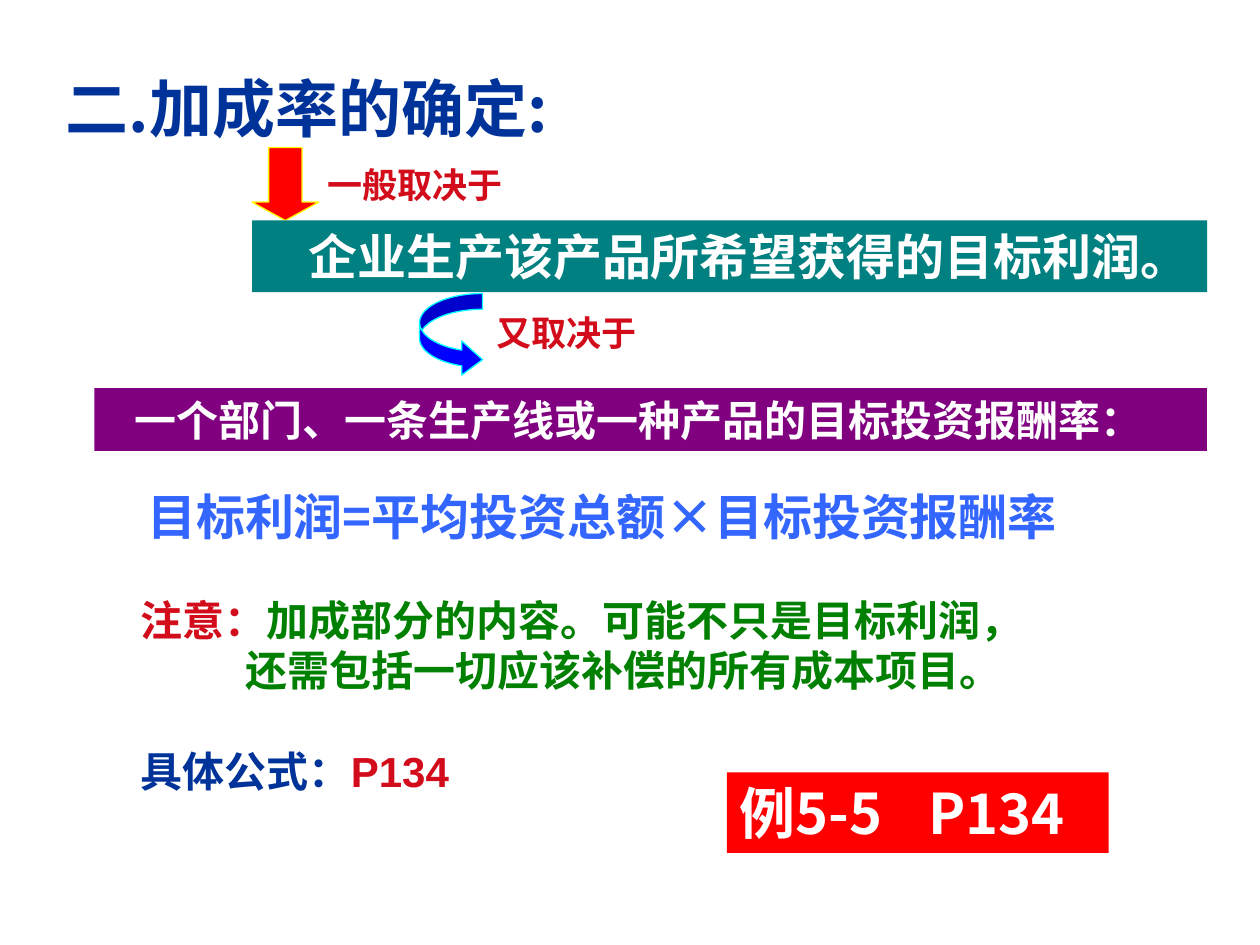
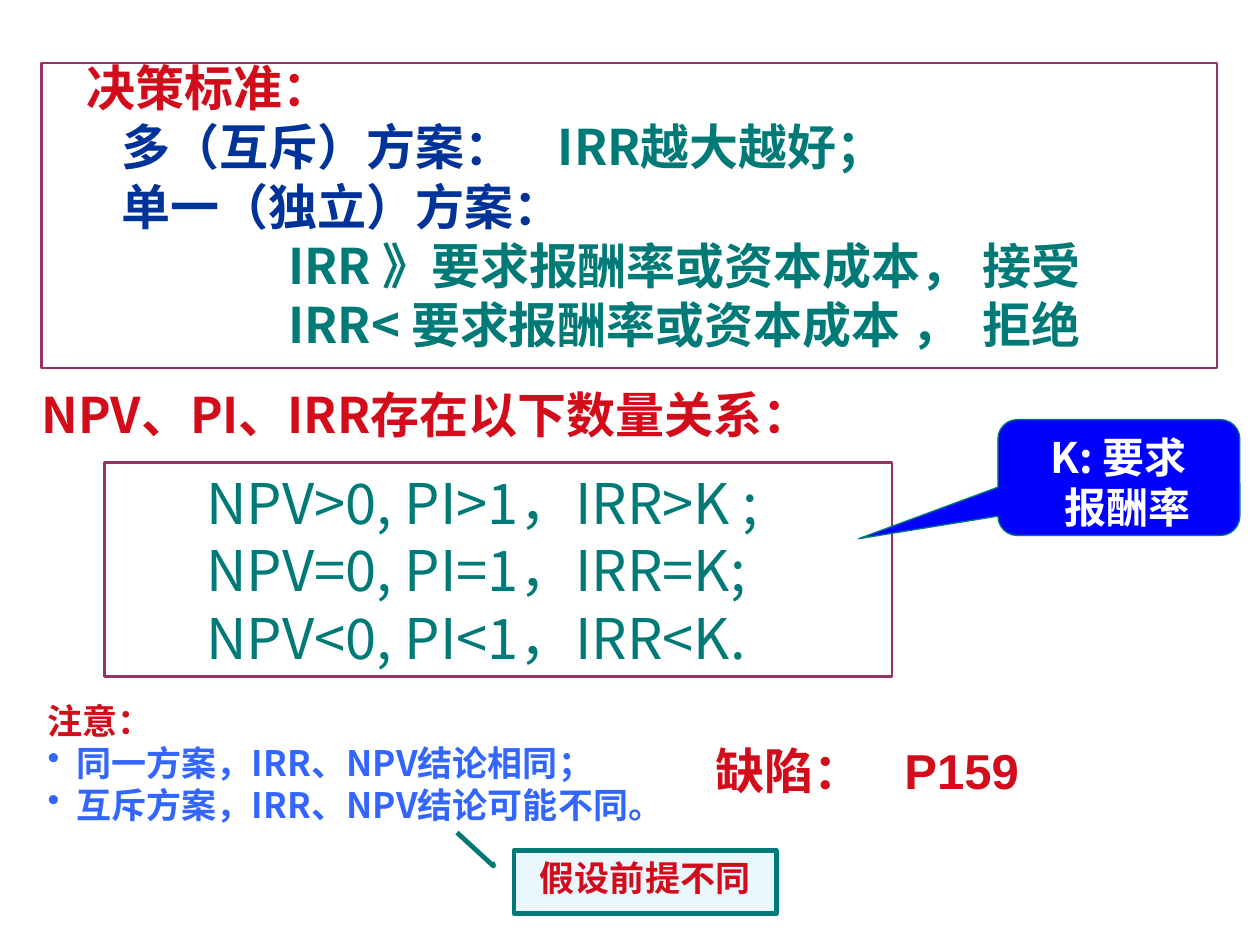
from lxml.etree import SubElement
from pptx import Presentation
from pptx.dml.color import RGBColor
from pptx.enum.shapes import MSO_SHAPE
from pptx.enum.text import MSO_ANCHOR, MSO_AUTO_SIZE, PP_ALIGN
from pptx.oxml.ns import qn
from pptx.util import Inches, Pt

NAVY, RED, TEAL, BLUE, GREEN = "003399", "D20C1A", "007A77", "3366FF", "008000"
WHITE, PLUM = "FFFFFF", "993366"
ARIAL, CJK_SC, CJK_JP = "Arial", "Noto Sans CJK SC", "Noto Sans CJK JP"
TITLE_ONLY = 5


def rgb(value):
    return RGBColor.from_string(value)


def para(*runs, indent=0, hang=0, tabs=(), before=0, bullet=None):
    """Describe a paragraph; each run is a (text, colour) pair."""
    return dict(runs=runs, indent=indent, hang=hang, tabs=tabs,
                before=before, bullet=bullet)


def set_layout(paragraph, spec):
    """Apply indents, bullet and tab stops."""
    props = paragraph._p.get_or_add_pPr()
    props.set("marL", str(Inches(spec["hang"])))
    props.set("indent", str(Inches(spec["indent"] - spec["hang"])))
    if spec["bullet"]:
        bullet_color = SubElement(props, qn("a:buClr"))
        SubElement(bullet_color, qn("a:srgbClr"), val=spec["bullet"])
        SubElement(props, qn("a:buChar"), char="•")
    else:
        SubElement(props, qn("a:buNone"))
    if spec["tabs"]:
        tab_list = SubElement(props, qn("a:tabLst"))
        for stop in spec["tabs"]:
            SubElement(tab_list, qn("a:tab"), pos=str(Inches(stop)), algn="l")


def write(shape, paragraphs, size, font=ARIAL, bold=True,
          align=PP_ALIGN.LEFT, leading=1.2):
    frame = shape.text_frame
    side = Inches(0.1)
    frame_format = dict(
        word_wrap=True, auto_size=MSO_AUTO_SIZE.NONE,
        vertical_anchor=MSO_ANCHOR.TOP, margin_left=side,
        margin_right=side if align == PP_ALIGN.CENTER else 0,
        margin_top=Inches(0.05), margin_bottom=Inches(0.05))
    for name, value in frame_format.items():
        setattr(frame, name, value)
    for number, spec in enumerate(paragraphs):
        paragraph = frame.add_paragraph() if number else frame.paragraphs[0]
        paragraph.alignment = align
        paragraph.line_spacing = Pt(round(size * leading, 1))
        paragraph.space_before = Pt(spec["before"])
        set_layout(paragraph, spec)
        for text, color in spec["runs"]:
            run = paragraph.add_run()
            run.text = text
            font_format = dict(size=Pt(size), bold=bold, name=font)
            for name, value in font_format.items():
                setattr(run.font, name, value)
            run.font.color.rgb = rgb(color)
            asian = CJK_SC if font == ARIAL else font
            SubElement(run._r.get_or_add_rPr(), qn("a:ea"), typeface=asian)


def place(shape, box):
    for name, value in zip(("left", "top", "width", "height"), box):
        setattr(shape, name, Inches(value))


def add_titled_slide(deck, box, text, color, **style):
    slide = deck.slides.add_slide(deck.slide_layouts[TITLE_ONLY])
    title = slide.shapes.title
    place(title, box)
    write(title, [para((text, color))], **style)
    return slide


def add_label(slide, box, *paragraphs, **style):
    label = slide.shapes.add_textbox(*map(Inches, box))
    write(label, paragraphs, **style)


def add_figure(slide, kind, box, fill=None, line=None, weight=0.75, adjust=()):
    figure = slide.shapes.add_shape(kind, *map(Inches, box))
    figure.shadow.inherit = False
    if fill:
        figure.fill.solid()
        figure.fill.fore_color.rgb = rgb(fill)
    else:
        figure.fill.background()
    if line:
        figure.line.color.rgb = rgb(line)
        figure.line.width = Pt(weight)
    else:
        figure.line.fill.background()
    for index, value in enumerate(adjust):
        figure.adjustments[index] = value
    return figure


def add_band(slide, box, fill, paragraph, **style):
    band = add_figure(slide, MSO_SHAPE.RECTANGLE, box, fill)
    write(band, [paragraph], **style)


def add_frame(slide, box, weight, paragraphs, **style):
    frame = add_figure(slide, MSO_SHAPE.RECTANGLE, box, line=PLUM, weight=weight)
    write(frame, paragraphs, **style)


def build_markup_slide(deck):
    slide = add_titled_slide(deck, (0.42, 0.5, 5.08, 0.92), "二.加成率的确定:",
                             NAVY, size=36, font=CJK_JP)
    add_figure(slide, MSO_SHAPE.DOWN_ARROW, (2, 1.17, 0.53, 0.58),
               "FF0000", "FFFF00", adjust=(0.5, 0.275))
    add_label(slide, (2.5, 1.25, 1.6, 0.44), para(("一般取决于", RED)), size=20)
    add_band(slide, (2, 1.75, 7.58, 0.57), "008080",
             para(("企业生产该产品所希望获得的目标利润。", WHITE), indent=0.35),
             size=28)
    add_label(slide, (3.84, 2.42, 1.31, 0.44), para(("又取决于", RED)), size=20)
    add_band(slide, (0.75, 3.08, 8.83, 0.5), "800080",
             para(("一个部门、一条生产线或一种产品的目标投资报酬率：", WHITE),
                  indent=0.22), size=24)
    add_figure(slide, MSO_SHAPE.CURVED_RIGHT_ARROW, (3.33, 2.33, 0.5, 0.66),
               "0000FF", "00FFFF", adjust=(0.25, 0.54, 0.33))
    add_label(slide, (1.07, 3.81, 7.8, 0.57),
              para(("目标利润=平均投资总额×目标投资报酬率", BLUE)),
              size=28, font=CJK_SC)
    add_label(slide, (1.02, 4.67, 7.2, 1.7),
              para(("注意：", RED), ("加成部分的内容。可能不只是目标利润，", GREEN)),
              para(("还需包括一切应该补偿的所有成本项目。", GREEN), indent=0.83),
              para(("具体公式：", NAVY), ("P134", RED), before=28.8),
              size=24)
    add_band(slide, (5.77, 6.13, 3.03, 0.64), "FF0000",
             para(("例5-5\tP134", WHITE), tabs=[1.75]), size=32, font=CJK_JP)


def build_irr_slide(deck):
    slide = add_titled_slide(deck, (0.23, 3, 6.77, 0.57),
                             "NPV、PI、IRR存在以下数量关系：", RED,
                             size=28, font=CJK_SC)
    outcomes = [("IRR 》要求报酬率或资本成本，", "接受"),
                ("IRR< 要求报酬率或资本成本 ，", "拒绝")]
    criteria = [
        para(("决策标准：", RED), indent=0.26),
        para(("多（互斥）方案：\t", NAVY), ("IRR越大越好；", TEAL),
             indent=0.54, tabs=[4.09], before=7),
        para(("单一（独立）方案：", NAVY), indent=0.54, before=7),
    ] + [para((f"{condition}\t{verdict}", TEAL), indent=1.86, tabs=[7.6], before=7)
         for condition, verdict in outcomes]
    add_frame(slide, (0.33, 0.5, 9.33, 2.42), 1.25, criteria,
              size=28, font=CJK_JP, leading=0.96)

    relations = ["NPV>0, PI>1，IRR>K ;", "NPV=0, PI=1，IRR=K;",
                 "NPV<0, PI<1，IRR<K."]
    add_frame(slide, (0.83, 3.67, 6.25, 1.7), 1.5,
              [para((relation, TEAL), indent=0.71) for relation in relations],
              size=32, font=CJK_JP, bold=False)

    required_return = add_figure(
        slide, MSO_SHAPE.ROUNDED_RECTANGULAR_CALLOUT, (7.92, 3.33, 1.92, 0.92),
        "0000FF", TEAL, adjust=(-1.076, 0.528, 0.167))
    write(required_return,
          [para(("K: 要求", WHITE)), para(("报酬率", WHITE), indent=0.14)],
          size=24, font=CJK_SC, align=PP_ALIGN.CENTER)

    conclusions = ["同一方案，IRR、NPV结论相同；", "互斥方案，IRR、NPV结论可能不同。"]
    add_label(slide, (0.28, 5.5, 5.1, 1.44), para(("注意：", RED)),
              *[para((text, BLUE), hang=0.23, bullet=BLUE) for text in conclusions],
              size=20, font=CJK_SC)
    add_label(slide, (5.58, 5.83, 2.77, 0.57),
              para(("缺陷：\tP159", RED), tabs=[1.44]), size=28)

    premise = add_figure(
        slide, MSO_SHAPE.LINE_CALLOUT_2, (4.08, 6.75, 2.08, 0.5), "EBF7FF", TEAL,
        2.75, (0.188, -0.083, 0.25, -0.078, -0.285, -0.218))
    write(premise, [para(("假设前提不同", RED))], size=20, align=PP_ALIGN.CENTER)


def main():
    deck = Presentation()
    deck.slide_width, deck.slide_height = Inches(10), Inches(7.5)
    build_markup_slide(deck)
    build_irr_slide(deck)
    deck.save("out.pptx")


if __name__ == "__main__":
    main()
